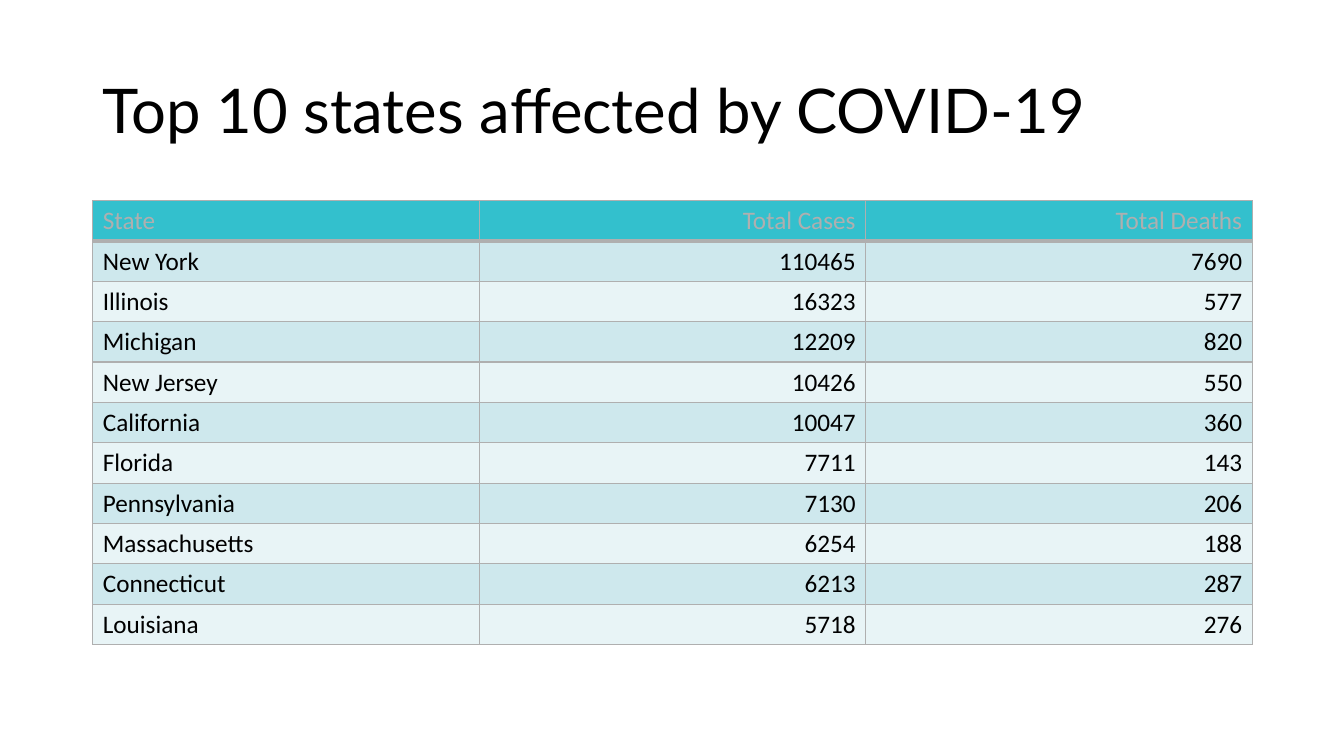
from typing import NamedTuple

from lxml.etree import SubElement
from pptx import Presentation
from pptx.dml.color import RGBColor as RGB
from pptx.enum.text import MSO_ANCHOR as ANCHOR, PP_ALIGN as ALIGN
from pptx.oxml.ns import qn
from pptx.util import Inches, Pt

COLORS = {
    "text": "000000",
    "grey": "AFAFAF",
    "header": "33C0CD",
    "band_dark": "CEE8ED",
    "band_light": "E8F4F6",
}
LEFT, WIDTH, ROW_HEIGHT = 0.92, 11.5, 0.4


class State(NamedTuple):
    name: str
    cases: int
    deaths: int


HEADINGS = ("State", "Total Cases", "Total Deaths")
STATES = [
    State("New York", 110465, 7690),
    State("Illinois", 16323, 577),
    State("Michigan", 12209, 820),
    State("New Jersey", 10426, 550),
    State("California", 10047, 360),
    State("Florida", 7711, 143),
    State("Pennsylvania", 7130, 206),
    State("Massachusetts", 6254, 188),
    State("Connecticut", 6213, 287),
    State("Louisiana", 5718, 276),
]


def style_run(p, font: str, size: float, color: str) -> None:
    r = p.runs[0]
    r.font.name = font
    r.font.size = Pt(size)
    r.font.color.rgb = RGB.from_string(COLORS[color])


def add_title(slide, text: str) -> None:
    sp = slide.shapes.add_textbox(Inches(LEFT), Inches(0.4), Inches(WIDTH), Inches(1.45))
    tf = sp.text_frame
    tf.word_wrap = True
    tf.vertical_anchor = ANCHOR.MIDDLE
    p = tf.paragraphs[0]
    p.text = text
    p.line_spacing = 0.9
    style_run(p, "Lato", 44, "text")


def set_borders(cell, bottom: float) -> None:
    tc_pr = cell._tc.get_or_add_tcPr()
    for side, width in (("L", 1), ("R", 1), ("T", 1), ("B", bottom)):
        ln = SubElement(tc_pr, qn(f"a:ln{side}"), w=str(Pt(width)))
        fill = SubElement(ln, qn("a:solidFill"))
        SubElement(fill, qn("a:srgbClr"), val=COLORS["grey"])


def fill_cell(cell, text: str, align: ALIGN, color: str, fill: str, bottom: float) -> None:
    set_borders(cell, bottom)
    cell.fill.solid()
    cell.fill.fore_color.rgb = RGB.from_string(COLORS[fill])
    p = cell.text_frame.paragraphs[0]
    p.text = text
    p.alignment = align
    style_run(p, "Calibri", 18, color)


def add_state_table(slide) -> None:
    rows = [HEADINGS, *STATES]
    table = slide.shapes.add_table(
        len(rows), len(HEADINGS), Inches(LEFT), Inches(1.99),
        Inches(WIDTH), Inches(ROW_HEIGHT * len(rows)),
    ).table
    for i, row in enumerate(rows):
        if i == 0:
            color, fill, bottom = "grey", "header", 3
        else:
            color, fill, bottom = "text", "band_dark" if i % 2 else "band_light", 1
        for j, value in enumerate(row):
            align = ALIGN.RIGHT if j else ALIGN.LEFT
            fill_cell(table.cell(i, j), str(value), align, color, fill, bottom)


def main() -> None:
    """Build the slide of the ten most affected states."""
    prs = Presentation()
    prs.slide_width, prs.slide_height = Inches(13.33), Inches(7.5)
    s = prs.slides.add_slide(prs.slide_layouts[6])
    add_title(s, "Top 10 states affected by COVID-19")
    add_state_table(s)
    prs.save("out.pptx")


if __name__ == "__main__":
    main()
